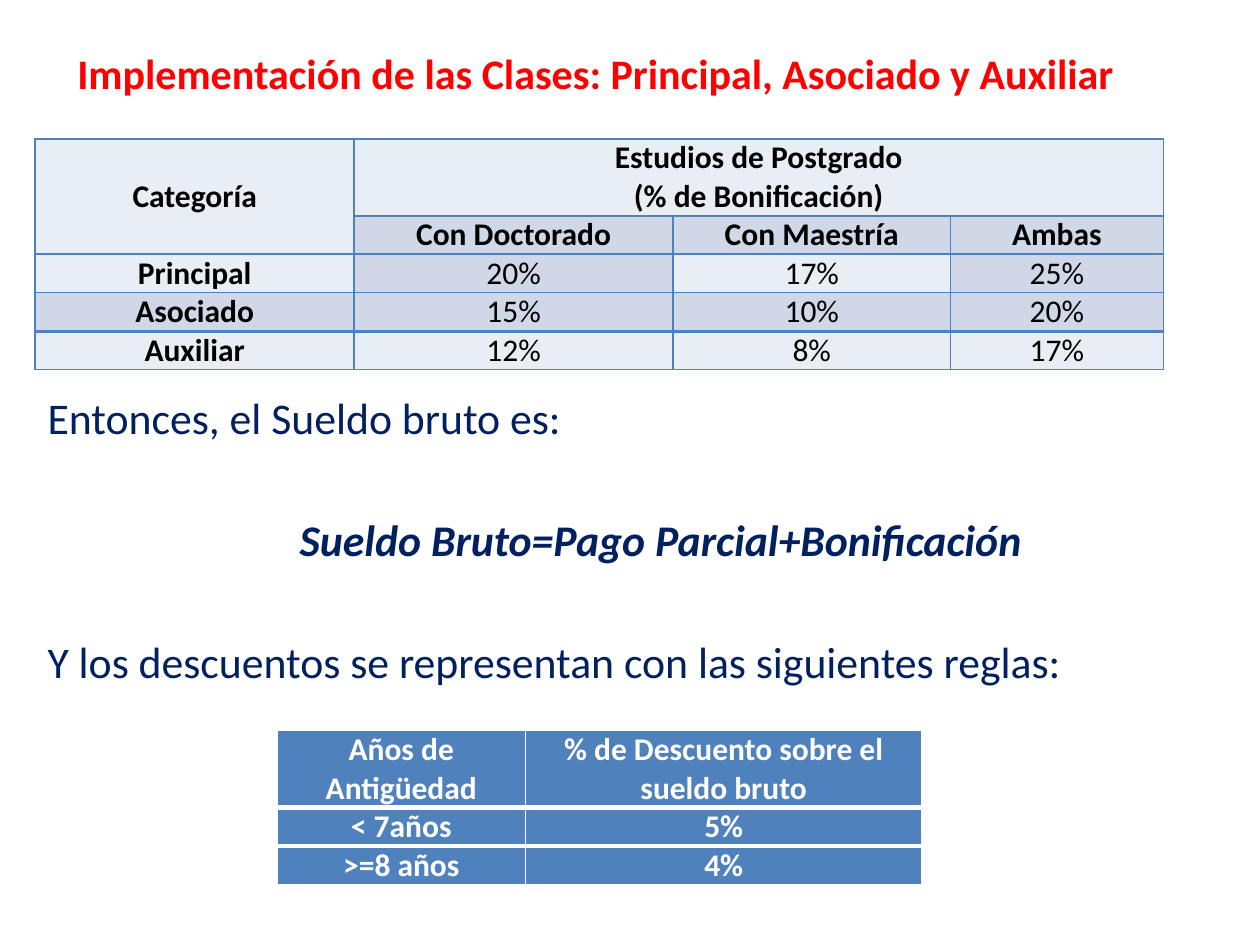
from lxml import etree
from pptx import Presentation
from pptx.dml.color import RGBColor
from pptx.enum.text import MSO_ANCHOR, PP_ALIGN
from pptx.oxml.ns import qn
from pptx.util import Cm, Pt

LEFT, CENTER = PP_ALIGN.LEFT, PP_ALIGN.CENTER
TOP, MIDDLE = MSO_ANCHOR.TOP, MSO_ANCHOR.MIDDLE

RED = RGBColor(0xFF, 0x00, 0x00)
NAVY = RGBColor(0x00, 0x20, 0x60)
BLACK = RGBColor(0x00, 0x00, 0x00)
WHITE = RGBColor(0xFF, 0xFF, 0xFF)
BLUE = RGBColor(0x4F, 0x81, 0xBD)
PALE = RGBColor(0xE9, 0xED, 0xF4)
MIST = RGBColor(0xD0, 0xD8, 0xE8)

LINE_HEIGHT = 0.775


class SlideBuilder:
    """Holds the text style and the page being filled."""

    font_name = "Calibri"

    def __init__(self, page):
        self.page = page

    def style(self, para, align, size, color, bold=False, italic=False):
        para.alignment = align
        font = para.font
        values = {"name": self.font_name, "size": Pt(size), "bold": bold, "italic": italic}
        for target in [font] + [span.font for span in para.runs]:
            for name, value in values.items():
                setattr(target, name, value)
            target.color.rgb = color

    def text(self, left, top, width, height, lines, anchor=TOP, gap=0):
        """Each line is (text, left indent in cm, style values)."""
        box = self.page.shapes.add_textbox(Cm(left), Cm(top), Cm(width), Cm(height))
        frame = box.text_frame
        frame.word_wrap = True
        frame.vertical_anchor = anchor
        for index, (words, indent, values) in enumerate(lines):
            para = frame.add_paragraph() if index else frame.paragraphs[0]
            para.text = words
            if index:
                para.space_before = Pt(gap)
            if indent:
                para._p.get_or_add_pPr().set("marL", str(Cm(indent)))
            self.style(para, **values)

    def border(self, cell, color, widths):
        properties = cell._tc.get_or_add_tcPr()
        for side, width in zip("LRTB", widths):
            line = etree.SubElement(properties, qn(f"a:ln{side}"), w=str(Pt(width)))
            fill = etree.SubElement(line, qn("a:solidFill"))
            etree.SubElement(fill, qn("a:srgbClr"), val=str(color))

    def table(self, left, top, columns, line_counts, rows, fills, merges,
              color, is_bold, edge, rules):
        """rules gives the width of each horizontal line, top to bottom."""
        heights = [LINE_HEIGHT * count for count in line_counts]
        frame = self.page.shapes.add_table(len(rows), len(columns), Cm(left), Cm(top),
                                           Cm(sum(columns)), Cm(sum(heights)))
        table = frame.table
        table.first_row = table.horz_banding = False
        for column, width in zip(table.columns, columns):
            column.width = Cm(width)
        for row, height in zip(table.rows, heights):
            row.height = Cm(height)
        margins = {"margin_left": Cm(0.18), "margin_right": Cm(0.18),
                   "margin_top": 0, "margin_bottom": 0, "vertical_anchor": MIDDLE}
        for r, row in enumerate(rows):
            for c, words in enumerate(row):
                cell = table.cell(r, c)
                for name, value in margins.items():
                    setattr(cell, name, value)
                self.border(cell, edge, (1, 1, rules[r], rules[r + 1]))
                cell.fill.solid()
                cell.fill.fore_color.rgb = fills[r][c]
                cell.text = words
                for para in cell.text_frame.paragraphs:
                    self.style(para, CENTER, 18, color, is_bold(r, c))
        for first, last in merges:
            table.cell(*first).merge(table.cell(*last))


def main():
    deck = Presentation()
    deck.slide_width, deck.slide_height = Cm(25.4), Cm(19.05)
    builder = SlideBuilder(deck.slides.add_slide(deck.slide_layouts[6]))

    # Title
    title = {"align": CENTER, "size": 24, "color": RED, "bold": True}
    builder.text(0.58, 0.48, 22.86, 1.98, [
        ("Implementación de las Clases: Principal, Asociado y Auxiliar", 0, title),
    ], anchor=MIDDLE)

    # Explanation with the gross salary formula
    plain = {"align": LEFT, "size": 25, "color": NAVY}
    builder.text(0.71, 7.76, 24.31, 6.5, [
        ("Entonces, el Sueldo bruto es:", 0, plain),
        ("Sueldo Bruto=Pago Parcial+Bonificación", 5.08, {**plain, "bold": True, "italic": True}),
        ("Y los descuentos se representan con las siguientes reglas:", 0, plain),
    ], gap=39.5)

    # Bonus by category and postgraduate studies
    builder.table(
        0.71, 2.8, [6.43, 6.43, 5.59, 4.29], [2, 1, 1, 1, 1],
        [["Categoría", "Estudios de Postgrado\n(% de Bonificación)", "", ""],
         ["", "Con Doctorado", "Con Maestría", "Ambas"],
         ["Principal", "20%", "17%", "25%"],
         ["Asociado", "15%", "10%", "20%"],
         ["Auxiliar", "12%", "8%", "17%"]],
        [[PALE] * 4, [PALE] + [MIST] * 3, [PALE, MIST, PALE, MIST], [MIST] * 4, [PALE] * 4],
        [((0, 0), (1, 0)), ((0, 1), (0, 3))],
        BLACK, lambda r, c: r < 2 or c == 0, BLUE, [1, 1, 1, 1, 2, 1])

    # Discount by years of service
    builder.table(
        5.59, 14.73, [5, 8], [2, 1, 1],
        [["Años de Antigüedad", "% de Descuento sobre el sueldo bruto"],
         ["< 7años", "5%"],
         [">=8 años", "4%"]],
        [[BLUE] * 2] * 3, [], WHITE, lambda r, c: True, WHITE, [1, 3, 3, 1])

    deck.save("out.pptx")


if __name__ == "__main__":
    main()
